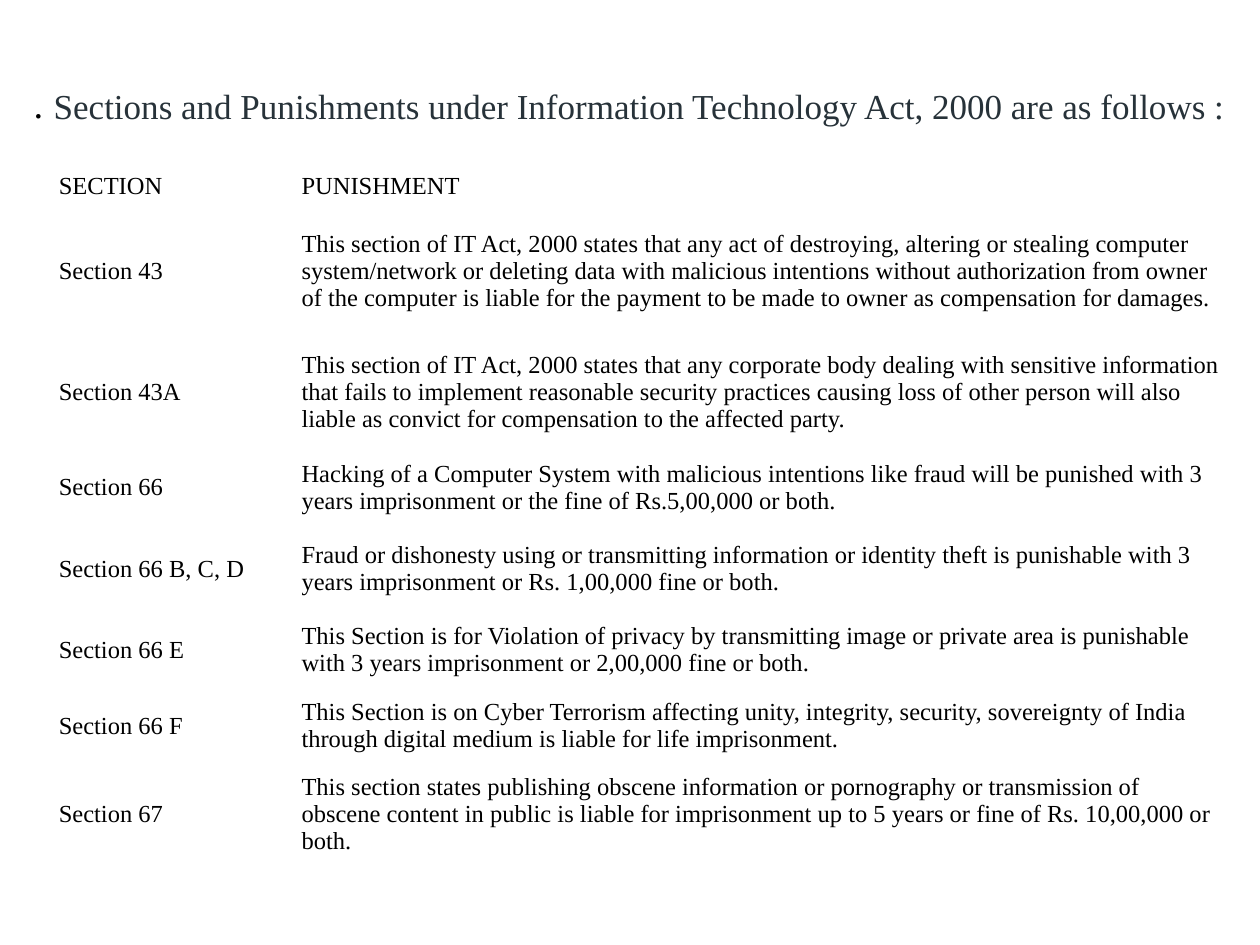
import pptx
import pptx.util
import pptx.dml.color
import pptx.enum.text
from dataclasses import dataclass

Pt = pptx.util.Pt
RGB = pptx.dml.color.RGBColor
Anchor = pptx.enum.text.MSO_ANCHOR


@dataclass(frozen=True)
class Theme:
    font: str = "Times New Roman"
    ink: RGB = RGB(0x00, 0x00, 0x00)
    heading: RGB = RGB(0x27, 0x32, 0x39)
    paper: RGB = RGB(0xFF, 0xFF, 0xFF)
    bullet_size: int = 22
    title_size: int = 20
    table_size: int = 14


THEME = Theme()
COLUMN_WIDTHS = (138.7, 535)
CELL_INSET = 3.6

# Section, punishment and row height in points
ROWS = (
    ("SECTION", "PUNISHMENT", 20),
    ("Section 43",
     "This section of IT Act, 2000 states that any act of destroying, altering or "
     "stealing computer system/network or deleting data with malicious intentions "
     "without authorization from owner of the computer is liable for the payment to "
     "be made to owner as compensation for damages.", 73.2),
    ("Section 43A",
     "This section of IT Act, 2000 states that any corporate body dealing with "
     "sensitive information that fails to implement reasonable security practices "
     "causing loss of other person will also liable as convict for compensation to "
     "the affected party.", 65.5),
    ("Section 66",
     "Hacking of a Computer System with malicious intentions like fraud will be "
     "punished with 3 years imprisonment or the fine of Rs.5,00,000 or both.", 43.2),
    ("Section 66 B, C, D",
     "Fraud or dishonesty using or transmitting information or identity theft is "
     "punishable with 3 years imprisonment or Rs. 1,00,000 fine or both.", 49.7),
    ("Section 66 E",
     "This Section is for Violation of privacy by transmitting image or private area "
     "is punishable with 3 years imprisonment or 2,00,000 fine or both.", 43.2),
    ("Section 66 F",
     "This Section is on Cyber Terrorism affecting unity, integrity, security, "
     "sovereignty of India through digital medium is liable for life imprisonment.",
     43.2),
    ("Section 67",
     "This section states publishing obscene information or pornography or "
     "transmission of obscene content in public is liable for imprisonment up to 5 "
     "years or fine of Rs. 10,00,000 or both.", 56.9),
)


def add_text(tf, text, size, color):
    p = tf.paragraphs[0]
    p.alignment = pptx.enum.text.PP_ALIGN.LEFT
    r = p.add_run()
    r.text = text
    r.font.name = THEME.font
    r.font.size = Pt(size)
    r.font.color.rgb = color


def set_title(s, text, left, top, width, height):
    sp = s.shapes.title
    sp.left, sp.top, sp.width, sp.height = map(Pt, (left, top, width, height))
    sp.fill.solid()
    sp.fill.fore_color.rgb = THEME.paper
    tf = sp.text_frame
    tf.auto_size = pptx.enum.text.MSO_AUTO_SIZE.NONE
    tf.word_wrap = True
    tf.vertical_anchor = Anchor.TOP
    tf.margin_left = tf.margin_right = tf.margin_top = tf.margin_bottom = 0
    add_text(tf, text, THEME.title_size, THEME.heading)


def add_body(s, text, left, top, width, height):
    sp = s.shapes.add_textbox(*map(Pt, (left, top, width, height)))
    tf = sp.text_frame
    tf.word_wrap = True
    add_text(tf, text, THEME.bullet_size, THEME.ink)


def add_section_table(s, left, top):
    width = sum(COLUMN_WIDTHS)
    height = sum(row[-1] for row in ROWS)
    table = s.shapes.add_table(len(ROWS), len(COLUMN_WIDTHS),
                               *map(Pt, (left, top, width, height))).table
    table.first_row = table.horz_banding = False
    for column, column_width in zip(table.columns, COLUMN_WIDTHS):
        column.width = Pt(column_width)
    for row, (section, punishment, row_height) in zip(table.rows, ROWS):
        row.height = Pt(row_height)
        for cell, text in zip(row.cells, (section, punishment)):
            cell.fill.background()
            cell.vertical_anchor = Anchor.MIDDLE
            cell.margin_left = cell.margin_right = Pt(CELL_INSET)
            cell.margin_top = cell.margin_bottom = Pt(CELL_INSET)
            add_text(cell.text_frame, text, THEME.table_size, THEME.ink)


def main():
    prs = pptx.Presentation()
    prs.slide_width, prs.slide_height = Pt(720), Pt(540)
    s = prs.slides.add_slide(prs.slide_layouts.get_by_name("Title Only"))

    # Heading with its leading dot
    set_title(s, "Sections and Punishments under Information Technology Act, "
                 "2000 are as follows :", 30.7, 48.2, 673, 48.2)
    add_body(s, ".", 12.2, 42, 696, 486)

    # Sections and their punishments
    add_section_table(s, 30, 94.3)

    prs.save("out.pptx")


if __name__ == "__main__":
    main()
